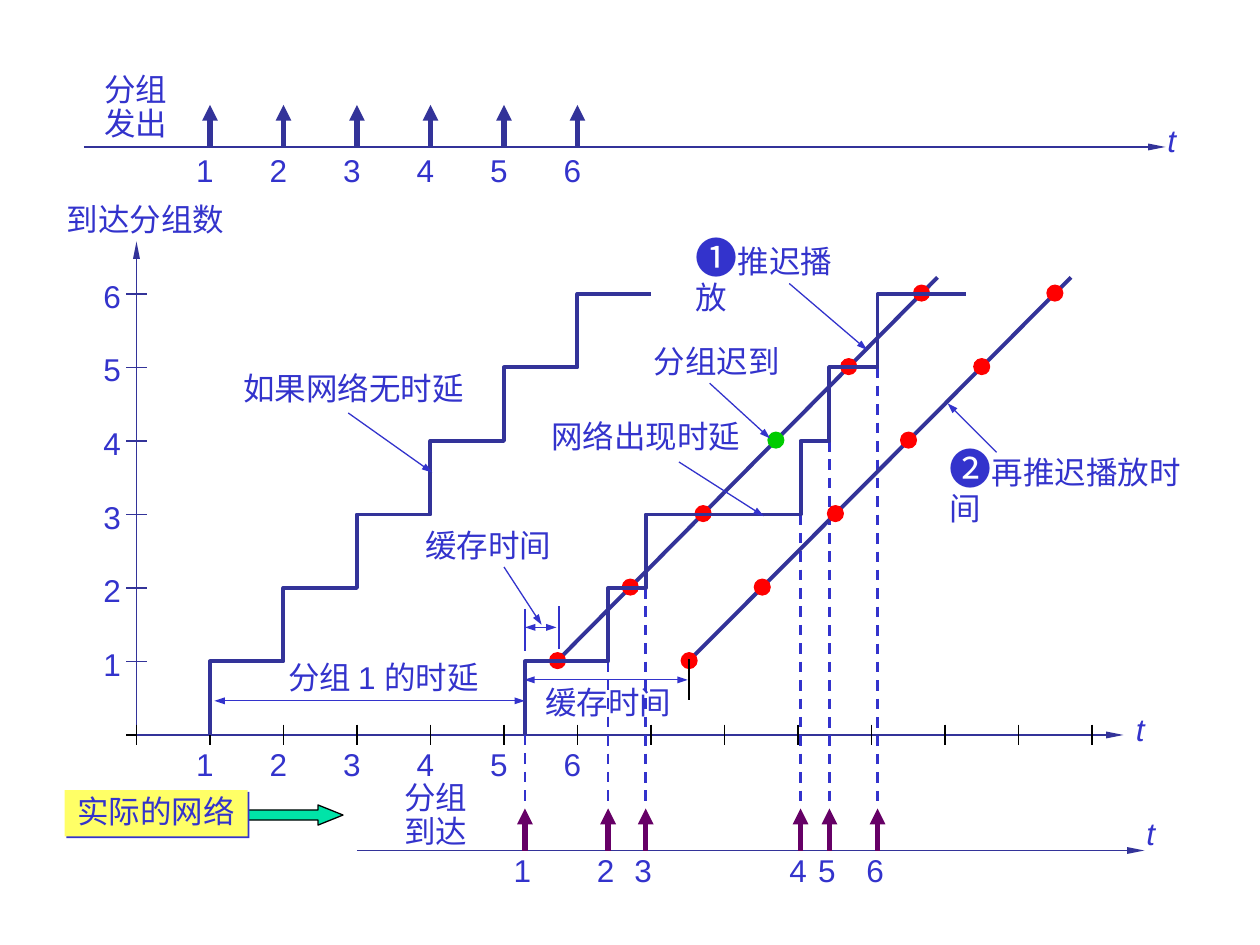
from dataclasses import dataclass

from pptx import Presentation
from pptx.dml.color import RGBColor
from pptx.enum.dml import MSO_LINE
from pptx.enum.shapes import MSO_CONNECTOR, MSO_SHAPE
from pptx.enum.text import MSO_ANCHOR, MSO_AUTO_SIZE, PP_ALIGN
from pptx.oxml.ns import qn
from pptx.slide import Slide
from pptx.util import Pt
from lxml import etree

STRAIGHT = MSO_CONNECTOR.STRAIGHT
ELLIPSE, RECTANGLE, RIGHT_ARROW = MSO_SHAPE.OVAL, MSO_SHAPE.RECTANGLE, MSO_SHAPE.RIGHT_ARROW
DASH = MSO_LINE.DASH
GROW, TOP, LEFT = MSO_AUTO_SIZE.SHAPE_TO_FIT_TEXT, MSO_ANCHOR.TOP, PP_ALIGN.LEFT


@dataclass(frozen=True)
class Theme:
    font: str = "Arial"
    size: float = 18
    marker_size: float = 24
    text: str = "3333CC"
    axis: str = "333399"
    black: str = "000000"
    arrival: str = "660066"
    on_time: str = "FF0000"
    late: str = "00CC00"
    note: str = "FFFF66"
    pointer: str = "00E4A8"
    thin: float = 0.75
    dashed: float = 1.5
    curve: float = 2.25
    thick: float = 3


@dataclass(frozen=True)
class Label:
    left: float
    top: float
    width: float
    height: float
    text: str
    spacing: float = 0.9
    marker: str = ""
    italic: bool = False
    tabs: tuple[float, ...] = ()


@dataclass(frozen=True)
class Line:
    x1: float
    y1: float
    x2: float
    y2: float
    color: str
    width: float = 0.75
    head: bool = False
    tail: bool = False
    tip: tuple[str, str] = ("sm", "med")  # arrowhead width and length
    dashed: bool = False


THEME = Theme()
STEP, ORIGIN_X, ORIGIN_Y = 42, 78, 420
PACKETS = range(1, 7)
SENT = [ORIGIN_X + STEP * n for n in PACKETS]
ARRIVED = [300, 347.5, 369, 457.5, 474, 501.5]
AXIS_TIP, THICK_TIP = ("sm", "lg"), ("med", "med")


def level(count: float) -> float:
    return ORIGIN_Y - STEP * count


def rgb(color: str) -> RGBColor:
    return RGBColor.from_string(color)


def draw_line(page: Slide, line: Line) -> None:
    connector = page.shapes.add_connector(STRAIGHT, Pt(line.x1), Pt(line.y1), Pt(line.x2), Pt(line.y2))
    connector.line.color.rgb = rgb(line.color)
    connector.line.width = Pt(line.width)
    if line.dashed:
        connector.line.dash_style = DASH
    properties = connector.element.spPr
    stroke = properties.get_or_add_ln()
    for tag, wanted in (("a:headEnd", line.head), ("a:tailEnd", line.tail)):
        if wanted:
            etree.SubElement(stroke, qn(tag), type="triangle", w=line.tip[0], len=line.tip[1])
    etree.SubElement(properties, qn("a:effectLst"))


def draw_shape(page: Slide, kind, left: float, top: float, width: float, height: float,
               fill: str, outline: str | None):
    shape = page.shapes.add_shape(kind, Pt(left), Pt(top), Pt(width), Pt(height))
    shape.shadow.inherit = False
    shape.fill.solid()
    shape.fill.fore_color.rgb = rgb(fill)
    if outline:
        shape.line.color.rgb = rgb(outline)
        shape.line.width = Pt(THEME.thin)
    else:
        shape.line.fill.background()
    return shape


def write_text(box, label: Label) -> None:
    frame = box.text_frame
    frame.text = label.text
    frame.word_wrap = bool(label.marker or label.tabs)
    frame.auto_size = GROW
    frame.vertical_anchor = TOP
    if label.marker:
        frame.text = label.marker
        frame.paragraphs[0].add_run().text = label.text
    for para in frame.paragraphs:
        para.alignment = LEFT
        para.line_spacing = label.spacing
        for span in para.runs:
            marked = label.marker and span.text == label.marker
            span.font.name = THEME.font
            span.font.size = Pt(THEME.marker_size if marked else THEME.size)
            span.font.color.rgb = rgb(THEME.text)
            span.font.italic = label.italic
        if label.tabs:
            stops = etree.SubElement(para._p.get_or_add_pPr(), qn("a:tabLst"))
            for stop in label.tabs:
                etree.SubElement(stops, qn("a:tab"), pos=str(Pt(stop)), algn="l")


def draw_label(page: Slide, label: Label) -> None:
    box = page.shapes.add_textbox(Pt(label.left), Pt(label.top), Pt(label.width), Pt(label.height))
    write_text(box, label)


def draw_packet_numbers(page: Slide, left: float, top: float, times: list[float]) -> None:
    tabs = tuple(time - times[0] for time in times[1:])
    draw_label(page, Label(left, top, tabs[-1] + 36, 29, "\t".join(map(str, PACKETS)), 1, tabs=tabs))


def draw_time_axis(page: Slide, start: float, end: float, y: float, name_top: float, name_left: float) -> None:
    draw_line(page, Line(start, y, end, y, THEME.axis, tail=True, tip=AXIS_TIP))
    draw_label(page, Label(name_left, name_top, 19.5, 29, "t", 1, italic=True))


def draw_packet_arrows(page: Slide, times: list[float], y: float, color: str) -> None:
    for time in times:
        draw_line(page, Line(time, y, time, y - 24, color, THEME.thick, tail=True, tip=THICK_TIP))


def draw_staircase(page: Slide, times: list[float], end: float) -> None:
    corners = [(Pt(time), Pt(level(count))) for n, time in enumerate(times) for count in (n, n + 1)]
    corners.append((Pt(end), Pt(level(len(times)))))
    builder = page.shapes.build_freeform(*corners[0], scale=1.0)
    builder.add_line_segments(corners[1:], close=False)
    stairs = builder.convert_to_shape()
    stairs.shadow.inherit = False
    stairs.fill.background()
    stairs.line.color.rgb = rgb(THEME.axis)
    stairs.line.width = Pt(THEME.curve)


def draw_playback(page: Slide, start: float, step: float, late: int = 0) -> None:
    end = start + step * 5.22
    draw_line(page, Line(start, 377.5, end, 158.5, THEME.axis, THEME.curve))
    for n in PACKETS:
        color = THEME.late if n == late else THEME.on_time
        x, y = start + step * (n - 1), level(n) - 0.5
        draw_shape(page, ELLIPSE, x - 4.5, y - 4.5, 9, 9, color, color)


def draw_callout(page: Slide, label: Label, *leader: float) -> None:
    draw_label(page, label)
    draw_line(page, Line(*leader, THEME.text, tail=True))


def draw_span(page: Slide, start: float, end: float, y: float) -> None:
    draw_line(page, Line(start, y, end, y, THEME.text, head=True, tail=True))


def main() -> None:
    deck = Presentation()
    deck.slide_width, deck.slide_height = Pt(720), Pt(540)
    page = deck.slides.add_slide(deck.slide_layouts[6])

    # Packets sent
    draw_time_axis(page, 48, 666, 84, 65.5, 660)
    draw_packet_arrows(page, SENT, 84, THEME.axis)
    draw_label(page, Label(52.5, 39, 50.5, 46, "分组\n发出"))
    draw_packet_numbers(page, 105, 83, SENT)

    # Axes of the arrival chart
    draw_label(page, Label(31, 113, 104.5, 26.5, "到达分组数"))
    draw_line(page, Line(ORIGIN_X, 138, ORIGIN_X, ORIGIN_Y, THEME.axis, head=True, tip=AXIS_TIP))
    for n in PACKETS:
        draw_line(page, Line(72, level(n), 84, level(n), THEME.axis))
    draw_label(page, Label(52, 134, 24.5, 260, "\n".join(map(str, reversed(PACKETS))), 1.95))
    draw_packet_numbers(page, 105, 422, SENT)
    draw_line(page, Line(72, ORIGIN_Y, 84, ORIGIN_Y, THEME.black))
    draw_time_axis(page, ORIGIN_X, 642, ORIGIN_Y, 402, 642)
    for n in range(14):
        x = ORIGIN_X + STEP * n
        draw_line(page, Line(x, 414, x, 426, THEME.black))

    # Arrival times carried down to the lower axis
    for n, time in enumerate(ARRIVED):
        draw_line(page, Line(time, level(n), time, 462, THEME.text, THEME.dashed, dashed=True))

    # Buffer time of the first playback
    draw_callout(page, Label(236, 299.5, 86.5, 26.5, "缓存时间"), 288, 324, 309.5, 357)
    draw_line(page, Line(319.5, 346.5, 319.5, 371, THEME.text))
    draw_span(page, 300, 318, 358.5)
    draw_line(page, Line(300, 348, 300, 372, THEME.text))

    # Second playback, delayed further
    draw_playback(page, 393.8, 41.8)
    draw_line(page, Line(393.8, 376.5, 393.8, 400, THEME.black))
    draw_label(page, Label(304.5, 389, 86.5, 26.5, "缓存时间"))
    draw_span(page, 299.5, 393, 388.5)
    draw_callout(page, Label(535.5, 252.5, 162, 33, "再推迟播放时间", marker="❷"), 569.5, 258.5, 541.5, 230.5)

    # Network without delay
    draw_staircase(page, SENT, 372)
    draw_callout(page, Label(132, 209.5, 140.5, 26.5, "如果网络无时延"), 199, 236, 247, 270)

    # First playback, with one late packet
    draw_playback(page, 318.6, 41.6, late=4)
    draw_callout(page, Label(390.5, 132, 108, 33, "推迟播放", marker="❶"), 451, 162, 495.5, 200)
    draw_callout(page, Label(366.5, 194.5, 86.5, 26.5, "分组迟到"), 405.5, 219, 440, 250.5)

    # Network with delay
    draw_staircase(page, ARRIVED, 552)
    draw_callout(page, Label(308, 237, 122.5, 26.5, "网络出现时延"), 388, 264, 436.5, 295)
    draw_span(page, 122.5, 300, 400.5)
    draw_label(page, Label(157.5, 375, 132, 26.5, "分组 1 的时延"))

    # Packets arriving over the real network
    pointer = draw_shape(page, RIGHT_ARROW, 139, 460, 57, 11.5, THEME.pointer, THEME.black)
    pointer.adjustments[1] = 1.24
    draw_time_axis(page, 204, 654, 486, 461.5, 648)
    draw_packet_arrows(page, ARRIVED, 486, THEME.arrival)
    draw_label(page, Label(224, 443.5, 50.5, 46, "分组\n到达"))
    draw_packet_numbers(page, 286.5, 482.5, ARRIVED)
    note = Label(37, 451.5, 104.5, 26.5, "实际的网络")
    card = draw_shape(page, RECTANGLE, note.left, note.top, note.width, note.height, THEME.note, None)
    write_text(card, note)
    effects = card.element.spPr.find(qn("a:effectLst"))
    shadow = etree.SubElement(effects, qn("a:outerShdw"), dist=str(Pt(1.4)), dir="2700000", algn="ctr")
    etree.SubElement(shadow, qn("a:srgbClr"), val=THEME.text)

    deck.save("out.pptx")


if __name__ == "__main__":
    main()
